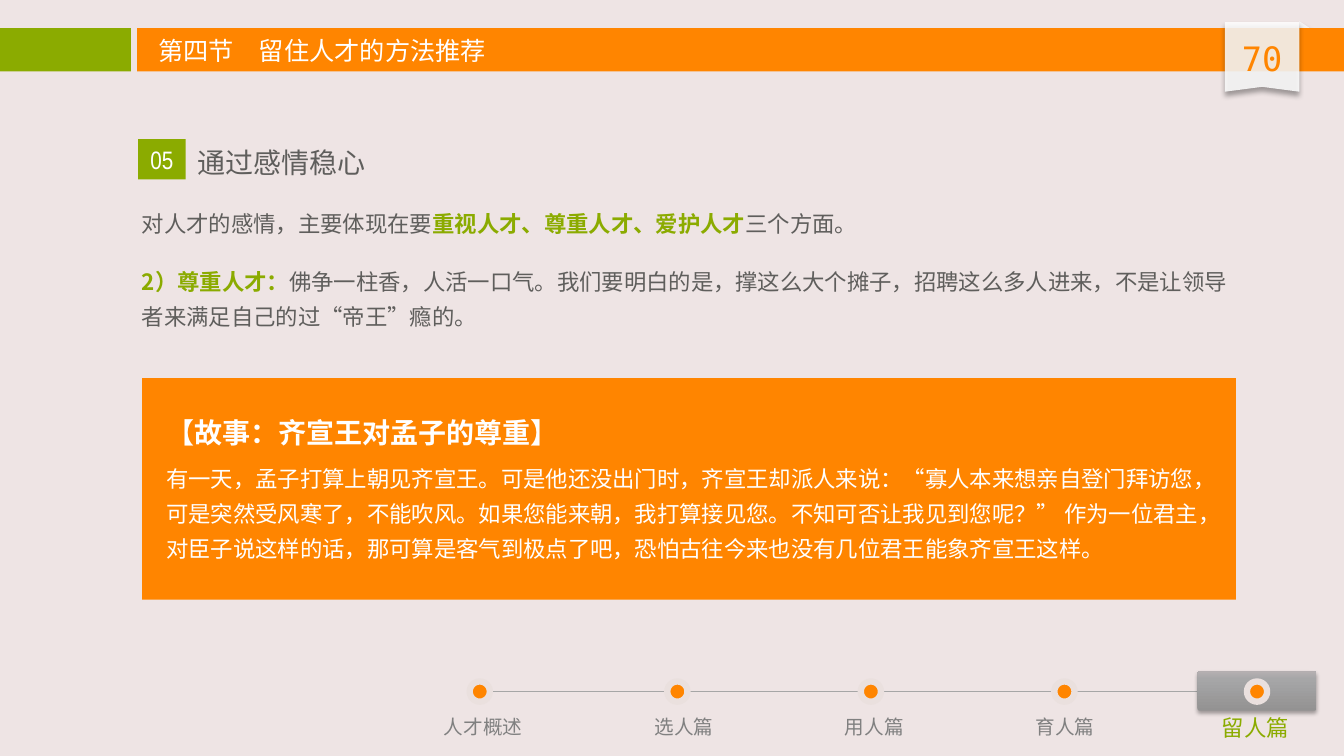
from lxml import etree
from pptx import Presentation
from pptx.dml.color import RGBColor as RGB
from pptx.enum.shapes import MSO_CONNECTOR as CONN, MSO_SHAPE as SHAPE
from pptx.enum.text import MSO_ANCHOR as ANCHOR, MSO_AUTO_SIZE as AUTO, PP_ALIGN as ALIGN
from pptx.oxml.ns import qn
from pptx.util import Inches, Pt

C = dict(bg="EEE4E4", green="8BAB00", orange="FF8500", white="FFFFFF", fold="F8F8F8",
         text="5F5E5C", label="808080", line="A6A6A6", ring="EAE0DE", black="000000")
TAB_STOPS = [(0, "939292"), (80, "A6A6A7"), (100, "B6B0B2")]
CJK = "Noto Sans CJK SC"
WIDTH, HEIGHT = 13.33, 7.5

prs = Presentation()
prs.slide_width, prs.slide_height = Inches(WIDTH), Inches(HEIGHT)
s = prs.slides.add_slide(prs.slide_layouts[6])
s.background.fill.solid()
s.background.fill.fore_color.rgb = RGB.from_string(C["bg"])


def px(share):
    return Inches(WIDTH * share / 100)


def py(share):
    return Inches(HEIGHT * share / 100)


def sub(parent, tag, **attrs):
    return etree.SubElement(parent, qn(tag), {k: str(v) for k, v in attrs.items()})


def paint(shape, color, alpha=100):
    shape.shadow.inherit = False
    shape.line.fill.background()
    shape.fill.solid()
    shape.fill.fore_color.rgb = RGB.from_string(C[color])
    if alpha < 100:
        clr = shape.fill._xPr.find(qn("a:solidFill"))[0]
        sub(clr, "a:alpha", val=alpha * 1000)
    return shape


def cast_shadow(shape, alpha, blur, dist):
    effects = shape._element.spPr.find(qn("a:effectLst"))
    shadow = sub(effects, "a:outerShdw", blurRad=Pt(blur), dist=Pt(dist),
                 dir=5400000, algn="t", rotWithShape=0)
    sub(sub(shadow, "a:srgbClr", val=C["black"]), "a:alpha", val=alpha * 1000)


def add_box(x, y, w, h, color, kind=SHAPE.RECTANGLE, alpha=100):
    return paint(s.shapes.add_shape(kind, px(x), py(y), px(w), py(h)), color, alpha)


def write(shape, paras, align=ALIGN.LEFT, wrap=True, anchor=ANCHOR.TOP, **spacing):
    tf = shape.text_frame
    for key, value in dict(word_wrap=wrap, auto_size=AUTO.SHAPE_TO_FIT_TEXT,
                           vertical_anchor=anchor).items():
        setattr(tf, key, value)
    for i, runs in enumerate(paras):
        p = tf.add_paragraph() if i else tf.paragraphs[0]
        for key, value in dict(alignment=align, **spacing).items():
            setattr(p, key, value)
        for text, size, color, bold, font in runs:
            r = p.add_run()
            r.text = text
            for key, value in dict(size=Pt(size), bold=bold, name=font).items():
                setattr(r.font, key, value)
            r.font.color.rgb = RGB.from_string(C[color])
            sub(r.font._element, "a:ea", typeface=font)


def run(text, size, color, bold=False, font=CJK):
    return text, size, color, bold, font


def add_text(x, y, w, h, paras, **fmt):
    write(s.shapes.add_textbox(px(x), py(y), px(w), py(h)), paras, **fmt)


def header(x, y, w, h, title):
    add_box(x, y, 9.75, h, "green")
    add_box(x + 10.2, y, w - 10.2, h, "orange")
    add_text(x + 11.03, y + 0.27, 37.8, 5.33, [[run(title, 18, "white")]])


def page_fold(x, y, w, h):
    cast_shadow(add_box(x, y, w, h, "fold", SHAPE.RIGHT_TRIANGLE, 85), 40, 4, 3)


def page_marker(x, y, w, h, number):
    fb = s.shapes.build_freeform(px(x), py(y))
    fb.add_line_segments([(px(x + w), py(y)), (px(x + w), py(y + h)),
                          (px(x + w / 2), py(y + 0.93 * h)), (px(x), py(y + h))])
    cast_shadow(paint(fb.convert_to_shape(), "white", 85), 40, 4, 3)
    add_text(x, y + 1.47, w, 6.67, [[run(number, 24, "orange", font="DejaVu Sans Mono")]],
             align=ALIGN.CENTER)


def chapter_nav(x, y, w, h, chapters):
    mid = y + 2.67
    rail = s.shapes.add_connector(CONN.STRAIGHT, px(x), py(mid), px(x + w), py(mid))
    rail.line.color.rgb = RGB.from_string(C["line"])
    rail.line.width = Pt(1)
    sub(rail._element.spPr, "a:effectLst")
    for name, dot_x, label_x, label_w in chapters:
        current = name == chapters[-1][0]
        if current:
            tab = add_box(x + w - 4.28, y, 8.85, 5.2, "line", SHAPE.ROUNDED_RECTANGLE)
            tab.adjustments[0] = 0.05
            fill = tab._element.spPr.find(qn("a:solidFill"))
            grad = etree.Element(qn("a:gradFill"), rotWithShape="1")
            stops = sub(grad, "a:gsLst")
            for pos, color in TAB_STOPS:
                sub(sub(stops, "a:gs", pos=pos * 1000), "a:srgbClr", val=color)
            sub(grad, "a:lin", ang=16200000, scaled=0)
            fill.getparent().replace(fill, grad)
            cast_shadow(tab, 35, 3.1, 1.8)
        dot = add_box(dot_x - 0.75, mid - 1.33, 1.5, 2.67, "orange", SHAPE.OVAL)
        dot.line.color.rgb = RGB.from_string(C["ring"])
        dot.line.width = Pt(4.5)
        size, color = (16, "green") if current else (14, "label")
        add_text(label_x - label_w / 2, y + 5.07, label_w, h - 5.07,
                 [[run(name, size, color)]], align=ALIGN.CENTER, wrap=False)


def section_heading(x, y, w, h, number, title):
    add_text(x + 3.67, y, w - 3.67, h, [[run(title, 20, "text")]],
             line_spacing=1.2, space_after=Pt(5))
    badge = add_box(x, y + 0.67, 3.53, 5.33, "green")
    write(badge, [[run(number, 18, "white", font="Arial Narrow")]],
          align=ALIGN.CENTER, wrap=False, anchor=ANCHOR.MIDDLE)


def body(x, y, w, h, runs):
    add_text(x, y, w, h, [runs], line_spacing=1.3)


def story(x, y, w, h, title, text):
    add_box(x, y, w, h, "orange")
    add_text(x + 1.05, y + 2.93, w - 2.4, h - 7.06,
             [[run(title, 20, "white", True)], [run(text, 16, "white")]],
             line_spacing=1.3, space_after=Pt(6))


page_fold(96.68, 2.8, 0.9, 1.07)
header(0, 3.73, 100, 5.73, "第四节　留住人才的方法推荐")
page_marker(91.13, 2.93, 5.55, 9.2, "70")
chapter_nav(36.15, 88.8, 57.23, 9.6, [
    ("人才概述", 35.7, 35.96, 7.43), ("选人篇", 50.4, 50.89, 5.93),
    ("用人篇", 64.8, 65.06, 5.93), ("育人篇", 79.2, 79.24, 5.93),
    ("留人篇", 93.53, 93.41, 6.53)])
section_heading(10.28, 17.73, 54.45, 6.67, "05", "通过感情稳心")
body(9.83, 26.13, 83.85, 6, [
    run("对人才的感情，主要体现在要", 16, "text"),
    run("重视人才、尊重人才、爱护人才", 16, "green", True),
    run("三个方面。", 16, "text")])
body(9.83, 33.73, 83.85, 10.67, [
    run("2）尊重人才：", 16, "green", True),
    run("佛争一柱香，人活一口气。我们要明白的是，撑这么大个摊子，招聘这么多人进来，"
        "不是让领导者来满足自己的过“帝王”瘾的。", 16, "text")])
story(10.58, 50, 81.38, 29.33, "【故事：齐宣王对孟子的尊重】",
      "有一天，孟子打算上朝见齐宣王。可是他还没出门时，齐宣王却派人来说：“寡人本来想亲自登门拜访您，"
      "可是突然受风寒了，不能吹风。如果您能来朝，我打算接见您。不知可否让我见到您呢？” 作为一位君主，"
      "对臣子说这样的话，那可算是客气到极点了吧，恐怕古往今来也没有几位君王能象齐宣王这样。")
prs.save("out.pptx")
